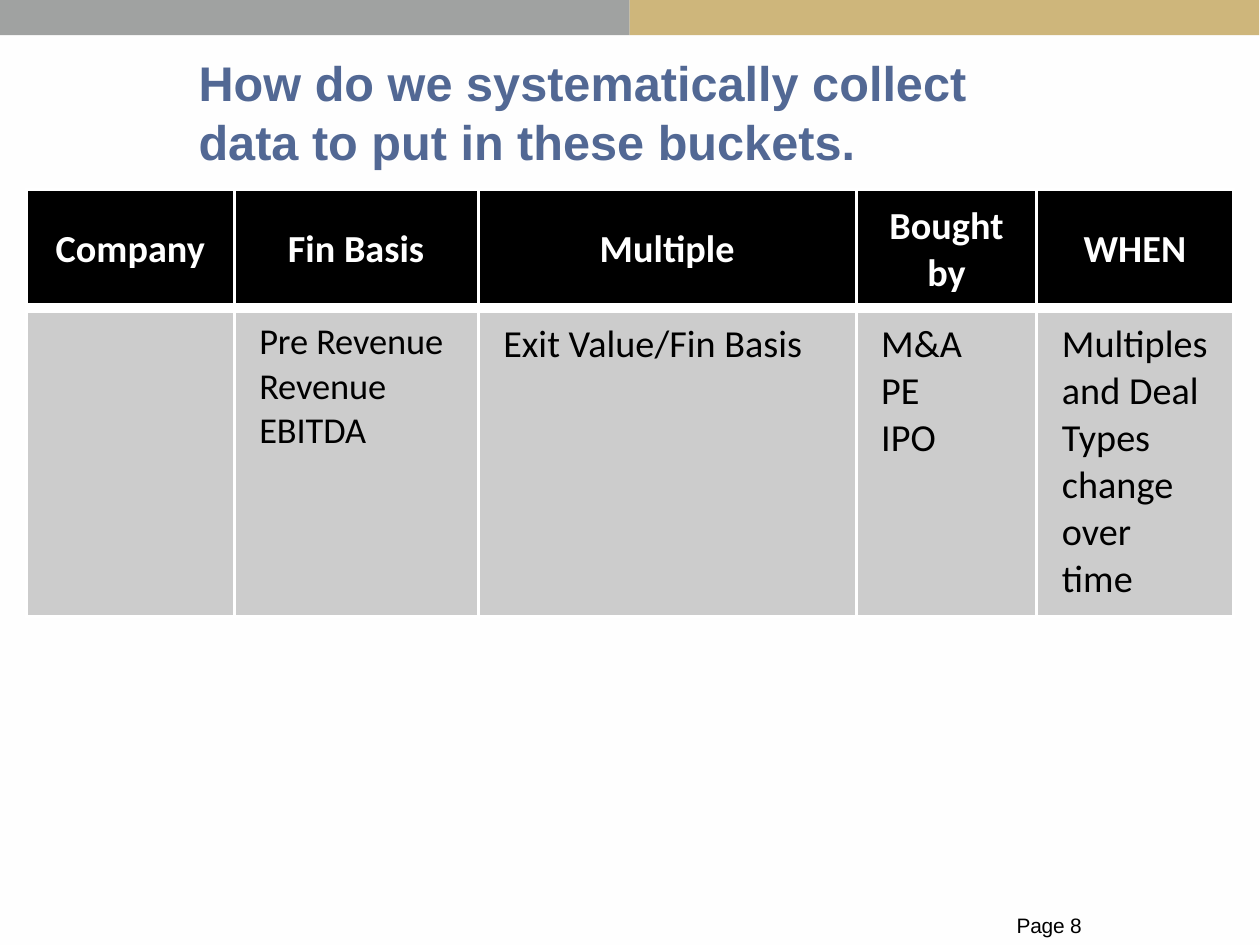
"""Build a slide with a table of the data to collect on company exits."""
from lxml.etree import SubElement
from pptx import Presentation
from pptx.dml.color import RGBColor
from pptx.enum.shapes import MSO_SHAPE
from pptx.enum.text import MSO_ANCHOR, PP_ALIGN
from pptx.oxml.ns import qn
from pptx.util import Pt

COLORS = {
    "paper": "FEFEFE", "gray": "A0A2A1", "gold": "CEB67B", "title": "526894",
    "black": "000000", "white": "FFFFFF", "body": "CCCCCC",
}


def color(name):
    return RGBColor.from_string(COLORS[name])


def write(frame, text, size, font="Calibri", ink="black", bold=False,
          align=PP_ALIGN.LEFT, leading=None, tracking=0):
    frame.word_wrap = True
    for index, line in enumerate(text.split("\n")):
        para = frame.paragraphs[0] if index == 0 else frame.add_paragraph()
        para.alignment = align
        if leading:
            para.line_spacing = Pt(leading)
        span = para.add_run()
        span.text = line
        span.font.name = font
        span.font.size = Pt(size)
        span.font.bold = bold
        span.font.color.rgb = color(ink)
        if tracking:
            span._r.get_or_add_rPr().set("spc", str(tracking))


deck = Presentation()
deck.slide_width = Pt(363)
deck.slide_height = Pt(272.5)
page = deck.slides.add_slide(deck.slide_layouts[6])

paper_width, paper_height = 362.8, 272.1
bar_width, bar_height = paper_width / 2, 10.2
panels = [
    ("paper", 0, paper_width, paper_height),
    ("gray", 0, bar_width, bar_height),
    ("gold", bar_width, bar_width, bar_height),
]
for name, left, width, height in panels:
    panel = page.shapes.add_shape(MSO_SHAPE.RECTANGLE, Pt(left), 0, Pt(width), Pt(height))
    panel.shadow.inherit = False
    panel.fill.solid()
    panel.fill.fore_color.rgb = color(name)
    panel.line.fill.background()

labels = [
    ((57.2, 15, 248.4, 33.8),
     "How do we systematically collect data to put in these buckets.",
     dict(size=14, font="Arial", ink="title", bold=True, leading=17)),
    ((292.9, 263.4, 24, 7.9), "Page 8",
     dict(size=6, font="Arial", leading=6.8, tracking=-5)),
]
for place, text, style in labels:
    box = page.shapes.add_textbox(*[Pt(length) for length in place])
    frame = box.text_frame
    frame.margin_left = frame.margin_top = frame.margin_right = frame.margin_bottom = 0
    write(frame, text, **style)

column_widths = [59.9, 70.3, 108.9, 52.1, 56.5]
row_heights = [34, 88.8]
rows = [
    ["Company", "Fin Basis", "Multiple", "Bought by", "WHEN"],
    ["", "Pre Revenue\nRevenue\nEBITDA", "Exit Value/Fin Basis", "M&A\nPE\nIPO",
     "Multiples and Deal Types change over time"],
]
table = page.shapes.add_table(len(rows), len(column_widths), Pt(7.6), Pt(54.7),
                              Pt(sum(column_widths)), Pt(sum(row_heights))).table
table.first_row = False
table.horz_banding = False
for column, width in zip(table.columns, column_widths):
    column.width = Pt(width)

for row_index, texts in enumerate(rows):
    table.rows[row_index].height = Pt(row_heights[row_index])
    header = row_index == 0
    borders = {"a:lnL": 1, "a:lnR": 1, "a:lnT": 1 if header else 3, "a:lnB": 3 if header else 1}
    for column_index, text in enumerate(texts):
        cell = table.cell(row_index, column_index)
        for tag, weight in borders.items():
            border = SubElement(cell._tc.get_or_add_tcPr(), qn(tag), w=str(Pt(weight)))
            fill = SubElement(border, qn("a:solidFill"))
            SubElement(fill, qn("a:srgbClr"), val=COLORS["white"])
        cell.fill.solid()
        cell.fill.fore_color.rgb = color("black" if header else "body")
        if header:
            cell.vertical_anchor = MSO_ANCHOR.MIDDLE
            write(cell.text_frame, text, 11, ink="white", bold=True, align=PP_ALIGN.CENTER)
        elif text:
            write(cell.text_frame, text, 10.5 if column_index == 1 else 11)

deck.save("out.pptx")
